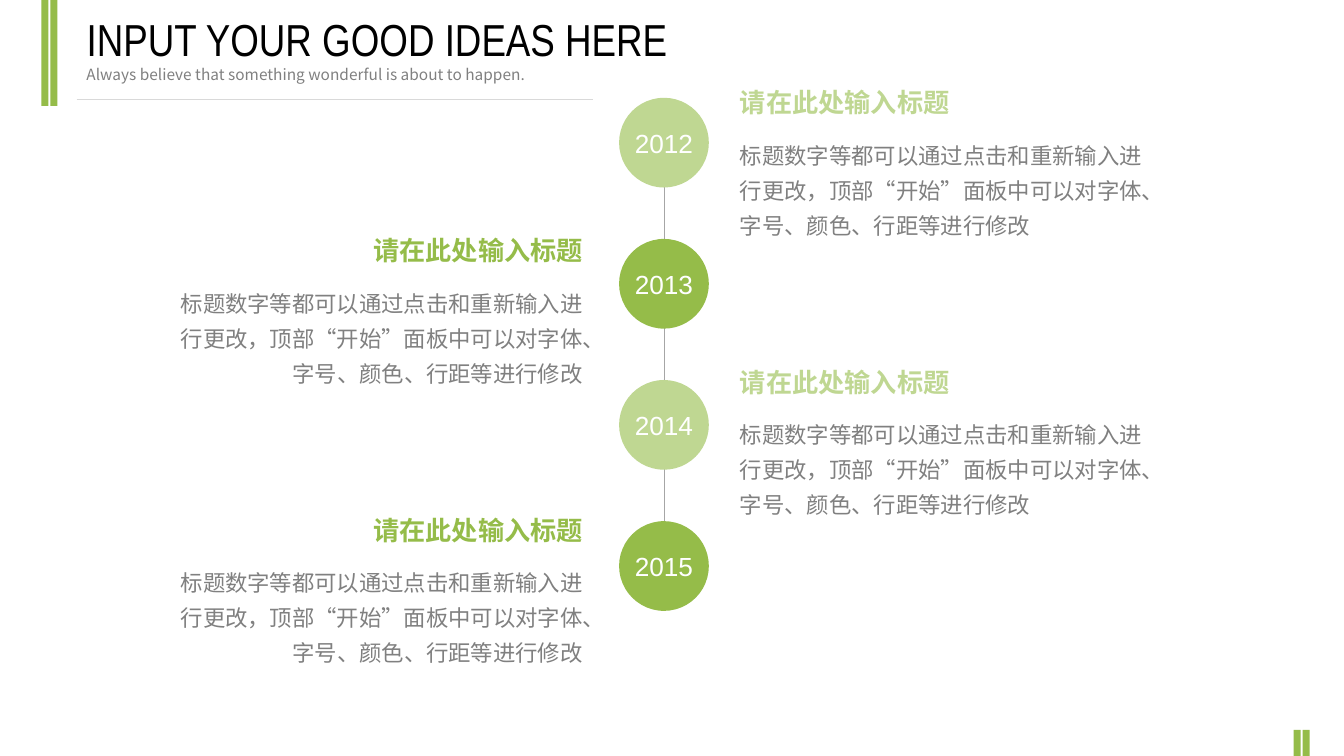
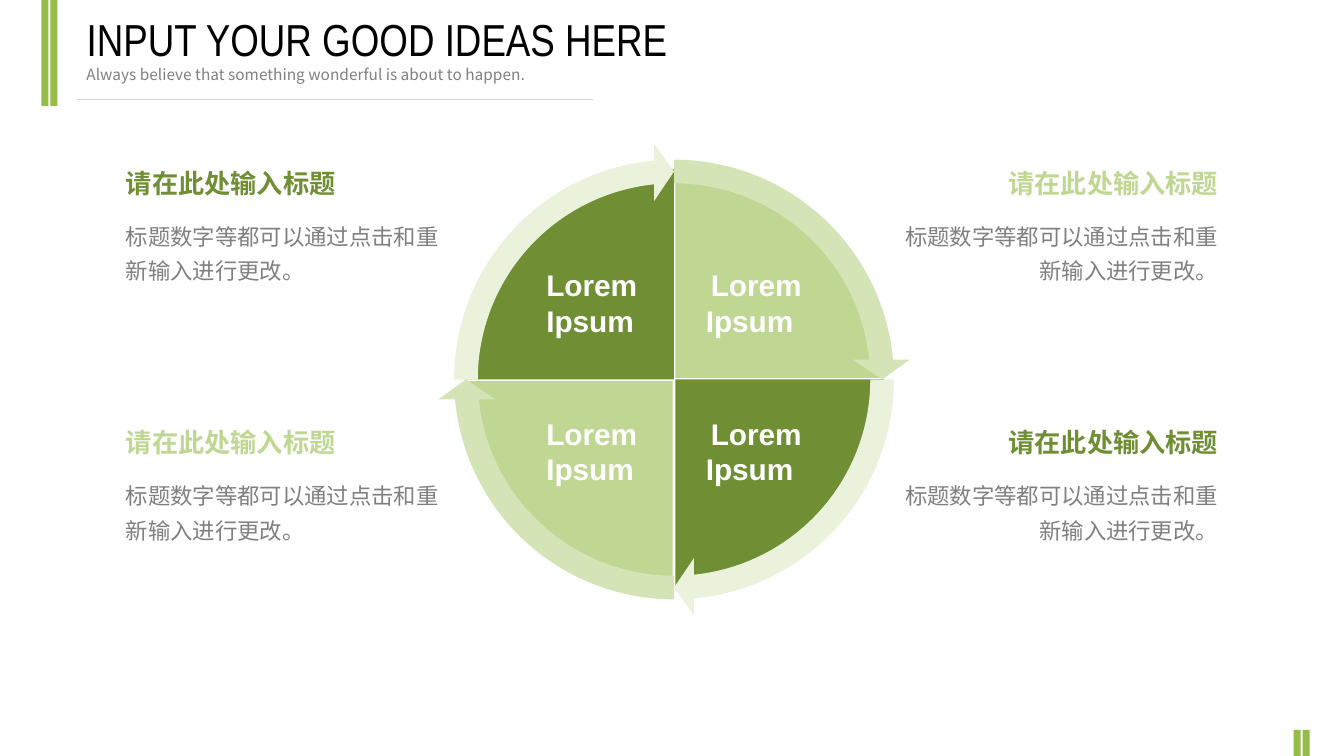
from lxml import etree
from pptx import Presentation
from pptx.dml.color import RGBColor
from pptx.enum.shapes import MSO_CONNECTOR, MSO_SHAPE
from pptx.enum.text import MSO_ANCHOR, PP_ALIGN
from pptx.oxml.ns import qn
from pptx.util import Emu, Pt

GREEN = RGBColor(0x95, 0xBC, 0x49)
LIGHT_GREEN = RGBColor(0xBF, 0xD7, 0x92)
DARK_GREEN = RGBColor(0x70, 0x8F, 0x35)
ARROW_MID = RGBColor(0xD5, 0xE4, 0xB6)
ARROW_PALE = RGBColor(0xEA, 0xF2, 0xDB)
TEXT_GRAY = RGBColor(0x80, 0x80, 0x80)
LINE_GRAY = RGBColor(0xA6, 0xA6, 0xA6)
RULE_GRAY = RGBColor(0xD9, 0xD9, 0xD9)
BLACK = RGBColor(0x00, 0x00, 0x00)
WHITE = RGBColor(0xFF, 0xFF, 0xFF)

SANS = "Arial"
NARROW = "Arial Narrow"
CJK = "Noto Sans CJK SC"

TITLE = "INPUT YOUR GOOD IDEAS HERE"
SUBTITLE = "Always believe that something wonderful is about to happen."
HEADING = "请在此处输入标题"
LONG_BODY = (
    "标题数字等都可以通过点击和重新输入进行更改，"
    "顶部“开始”面板中可以对字体、字号、颜色、行距等进行修改"
)
SHORT_BODY = "标题数字等都可以通过点击和重新输入进行更改。"

FULL_TURN = 216
QUARTER = FULL_TURN // 4


def px(length):
    return Emu(length * 9144)


def box(left, top, width, height):
    return px(left), px(top), px(width), px(height)


def style_paragraph(paragraph, size, color, font=SANS, bold=False,
                    align=PP_ALIGN.LEFT):
    paragraph.alignment = align
    paragraph.font.name = font
    paragraph.font.size = Pt(size)
    paragraph.font.bold = bold
    paragraph.font.color.rgb = color
    defaults = paragraph.font._element
    latin = defaults.find(qn("a:latin"))
    east_asian = etree.Element(qn("a:ea"), typeface=CJK)
    latin.addnext(east_asian)


def add_text(slide, bounds, lines, size, color, wrap=True, **style):
    frame = slide.shapes.add_textbox(*box(*bounds)).text_frame
    frame.word_wrap = wrap
    frame.text = "\n".join(lines)
    for paragraph in frame.paragraphs:
        style_paragraph(paragraph, size, color, **style)
    return frame


def add_filled(slide, preset, bounds, color, adjustments=()):
    shape = slide.shapes.add_shape(preset, *box(*bounds))
    shape.shadow.inherit = False
    shape.fill.solid()
    shape.fill.fore_color.rgb = color
    shape.line.fill.background()
    for index, value in enumerate(adjustments):
        shape.adjustments[index] = value
    return shape


def add_line(slide, start, end, color):
    line = slide.shapes.add_connector(
        MSO_CONNECTOR.STRAIGHT, *map(px, start + end))
    line.line.color.rgb = color
    line.line.width = Pt(0.75)
    etree.SubElement(line._element.spPr, qn("a:effectLst"))


def add_titled_slide(deck):
    slide = deck.slides.add_slide(deck.slide_layouts[5])
    for left, top, height in ((41, 0, 105), (50, 0, 105),
                              (1283, 724, 26), (1292, 724, 26)):
        add_filled(slide, MSO_SHAPE.RECTANGLE, (left, top, 7, height), GREEN)
    add_line(slide, (76, 99), (588, 99), RULE_GRAY)

    title = slide.shapes.title
    title.left, title.top, title.width, title.height = box(76, 6, 867, 64)
    title.text_frame.text = TITLE
    title.text_frame.vertical_anchor = MSO_ANCHOR.MIDDLE
    style_paragraph(title.text_frame.paragraphs[0], 32, BLACK, font=NARROW)
    add_text(slide, (76, 60, 706, 29), [SUBTITLE], 11, TEXT_GRAY, font=CJK)
    return slide


def add_topic(slide, left, top, width, body, body_height, color, align):
    add_text(slide, (left, top, width, 42), [HEADING], 18.7, color,
             bold=True, align=align)
    frame = add_text(slide, (left, top + 47, width, body_height), [body],
                     16, TEXT_GRAY, align=align)
    frame.paragraphs[0].line_spacing = 1.3
    frame.paragraphs[0].space_before = Pt(8)


def add_year(slide, top, year, color):
    circle = add_filled(slide, MSO_SHAPE.OVAL, (614, top, 89, 89), color)
    frame = circle.text_frame
    frame.word_wrap = False
    frame.vertical_anchor = MSO_ANCHOR.MIDDLE
    frame.text = str(year)
    style_paragraph(frame.paragraphs[0], 18.7, WHITE, align=PP_ALIGN.CENTER)


def build_timeline(deck):
    slide = add_titled_slide(deck)
    add_line(slide, (659, 149), (659, 569), LINE_GRAY)
    sides = ((724, LIGHT_GREEN, PP_ALIGN.LEFT), (163, GREEN, PP_ALIGN.RIGHT))
    for index in range(4):
        row, side = divmod(index, 2)
        left, color, align = sides[side]
        add_year(slide, 97 + 140 * index, 2012 + index, color)
        add_topic(slide, left, 81 + 277 * row + 147 * side, 425,
                  LONG_BODY, 112, color, align)


def build_cycle(deck):
    slide = add_titled_slide(deck)
    starts = [(3 + quarter) * QUARTER % FULL_TURN for quarter in range(4)]
    wedge_colors = (LIGHT_GREEN, DARK_GREEN) * 2
    arrow_colors = (ARROW_MID, ARROW_PALE) * 2
    for start, color in zip(starts, wedge_colors):
        wedge = add_filled(slide, MSO_SHAPE.PIE, (460, 168, 417, 417), color,
                           (start, (start + QUARTER) % FULL_TURN))
        if color == LIGHT_GREEN:
            wedge.line.color.rgb = WHITE
            wedge.line.width = Pt(2)
    for start, color in zip(starts, arrow_colors):
        add_filled(slide, MSO_SHAPE.CIRCULAR_ARROW, (434, 142, 469, 469),
                   color, (0.05, 3.28, start + 50.72, start, 0.06))

    sides = ((532, 115, PP_ALIGN.LEFT, "Ipsum"),
             (689, 887, PP_ALIGN.RIGHT, "Ipsum "))
    for row in range(2):
        for side, (label_left, topic_left, align, word) in enumerate(sides):
            add_text(slide, (label_left, 260 + 147 * row, 116, 82),
                     ["Lorem", word], 21.3, WHITE, wrap=False, bold=True,
                     align=align)
            color = DARK_GREEN if row == side else LIGHT_GREEN
            add_topic(slide, topic_left, 161 + 257 * row, 331,
                      SHORT_BODY, 77, color, align)


def main():
    deck = Presentation()
    deck.slide_width, deck.slide_height = px(1333), px(750)
    build_timeline(deck)
    build_cycle(deck)
    deck.save("out.pptx")


if __name__ == "__main__":
    main()
